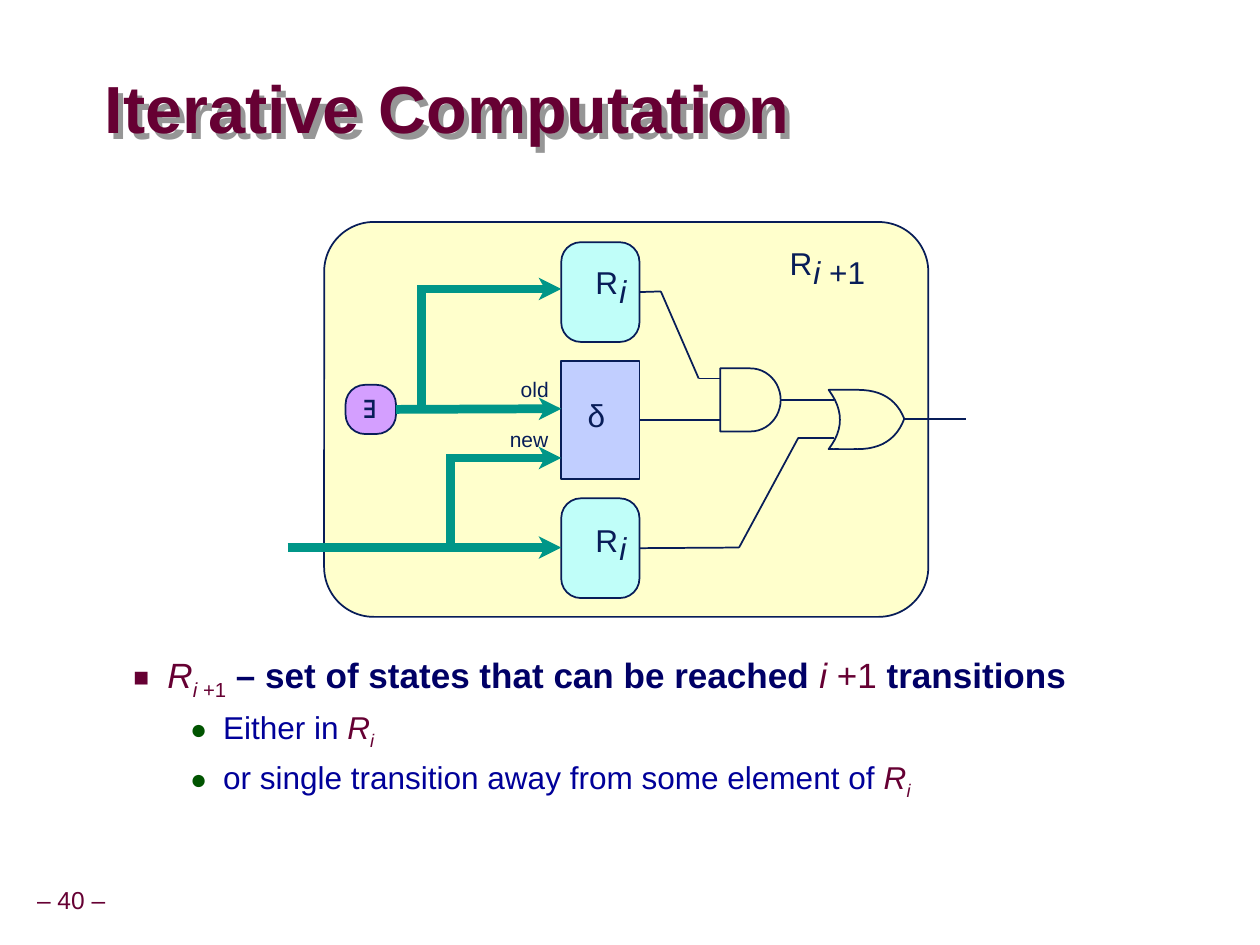
from pptx import Presentation
from pptx.dml.color import RGBColor
from pptx.enum.shapes import MSO_CONNECTOR, MSO_SHAPE
from pptx.enum.text import MSO_ANCHOR, PP_ALIGN
from pptx.oxml.ns import qn
from pptx.util import Inches, Pt
from lxml.etree import SubElement

COLORS = {"wine": "660033", "ink": "081D58", "navy": "000066", "blue": "000099",
          "green": "005400", "teal": "009688", "cream": "FFFFCC", "aqua": "C0FEF9",
          "sky": "C1CEFF", "violet": "D49FFF", "grey": "969696"}

ROUND, RECT, DELAY = (MSO_SHAPE.ROUNDED_RECTANGLE, MSO_SHAPE.RECTANGLE,
                      MSO_SHAPE.FLOWCHART_DELAY)
NODES = {
    "frame": (ROUND, 2.57, 1.76, 4.79, 3.13, "cream", 0.126),
    "upper": (ROUND, 4.45, 1.92, 0.62, 0.79, "aqua", 0.25),
    "delta": (RECT, 4.45, 2.86, 0.62, 0.94, "sky", None),
    "lower": (ROUND, 4.45, 3.95, 0.62, 0.79, "aqua", 0.25),
    "exists": (ROUND, 2.74, 3.05, 0.4, 0.39, "violet", 0.397),
    "and": (DELAY, 5.71, 2.92, 0.48, 0.5, "cream", None),
}
OR_START = (6.57, 3.09)
OR_CURVES = [
    ((6.7, 3.09), (6.8, 3.09)),
    ((7.08, 3.09), (7.17, 3.32)),
    ((7.08, 3.56), (6.8, 3.56)),
    ((6.7, 3.56), (6.57, 3.56)),
    ((6.75, 3.33), OR_START),
]
WIRES = [
    ([(5.07, 2.31), (5.24, 2.31), (5.54, 3), (5.71, 3)], "upper"),
    ([(5.07, 3.33), (5.71, 3.33)], "delta"),
    ([(5.07, 4.34), (5.86, 4.34), (6.33, 3.47), (6.61, 3.47)], "lower"),
    ([(6.19, 3.17), (6.61, 3.17)], "and"),
    ([(7.17, 3.32), (7.66, 3.32)], None),
]
BUSES = [
    ([(3.34, 3.25), (3.34, 2.26)], None),
    ([(3.31, 2.29), (4.34, 2.29)], None),
    ([(3.14, 3.24), (4.34, 3.24)], "exists"),
    ([(3.57, 4.36), (3.57, 3.6)], None),
    ([(3.54, 3.63), (4.34, 3.63)], None),
    ([(2.28, 4.34), (4.34, 4.34)], None),
]
HEAD = [(0.11, 0), (-0.07, 0.09), (-0.02, 0), (-0.07, -0.09)]
LABELS = [
    (4.66, 3.17, 0.12, 18, [("δ", "")]),
    (2.85, 3.1, 0.16, 18, [("∃", "")]),
    (4.09, 3.01, 0.3, 12, [("old", "")]),
    (4.02, 3.4, 0.35, 12, [("new", "")]),
]
STATES = [
    (4.72, 2.12, [("i", "i")]),
    (4.72, 4.16, [("i", "i")]),
    (6.26, 1.97, [("i ", "i"), ("+1", "")]),
]
POINTS = [
    (0, [("R", "wine", "i"), ("i ", "wine", "is"), ("+1", "wine", "s"),
         (" – set of states that can be reached ", "navy", "b"),
         ("i", "wine", "i"), (" +1", "wine", ""), (" transitions", "navy", "b")]),
    (1, [("Either in ", "blue", ""), ("R", "wine", "i"), ("i", "wine", "is")]),
    (1, [("or single transition away from some element of ", "blue", ""),
         ("R", "wine", "i"), ("i", "wine", "is")]),
]
LEVELS = [
    dict(size=20, left=0.81, hang=0.27, gap=0, line=1, mark="■", tint="wine", scale=75),
    dict(size=18, left=1.25, hang=0.26, gap=2.2, line=1.07, mark="●", tint="green", scale=90),
]


def rgb(name):
    return RGBColor.from_string(COLORS[name])


def add_run(para, text, size, color, style=""):
    run = para.add_run()
    run.text = text
    font = run.font
    font.name, font.size, font.color.rgb = "Arial", Pt(size), rgb(color)
    font.bold, font.italic = "b" in style, "i" in style
    if "s" in style:
        font._element.set("baseline", "-25000")


def add_box(slide, x, y, w, h, wrap=False, pad=(0, 0), anchor=MSO_ANCHOR.TOP):
    box = slide.shapes.add_textbox(*map(Inches, (x, y, w, h)))
    frame = box.text_frame
    frame.word_wrap, frame.vertical_anchor = wrap, anchor
    frame.margin_left = frame.margin_right = Inches(pad[0])
    frame.margin_top = frame.margin_bottom = Inches(pad[1])
    return box


def add_label(slide, x, y, w, size, runs):
    para = add_box(slide, x, y, w, size * 0.015).text_frame.paragraphs[0]
    para.alignment, para.line_spacing = PP_ALIGN.CENTER, 0.9
    for text, style in runs:
        add_run(para, text, size, "ink", style)


def paint(shape, fill, line="ink"):
    shape.shadow.inherit = False
    shape.fill.solid()
    shape.fill.fore_color.rgb = rgb(fill)
    if line:
        shape.line.color.rgb, shape.line.width = rgb(line), Pt(1)
    else:
        shape.line.fill.background()


def add_node(slide, kind, x, y, w, h, fill, bend):
    node = slide.shapes.add_shape(kind, *map(Inches, (x, y, w, h)))
    if bend:
        node.adjustments[0] = bend
    paint(node, fill)
    return node


def add_outline(slide, dots, fill, line):
    spots = [tuple(map(Inches, dot)) for dot in dots]
    pen = slide.shapes.build_freeform(*spots[0])
    pen.add_line_segments(spots[1:], close=True)
    paint(pen.convert_to_shape(), fill, line)


def add_or(slide):
    dots, start = [OR_START], OR_START
    for mid, end in OR_CURVES:
        for step in range(1, 13):
            t = step / 12
            dots.append(tuple((1 - t) ** 2 * a + 2 * t * (1 - t) * b + t * t * c
                              for a, b, c in zip(start, mid, end)))
        start = end
    add_outline(slide, dots, "cream", "ink")


def add_path(slide, nodes, dots, color, width, source):
    for start, end in zip(dots, dots[1:]):
        link = slide.shapes.add_connector(MSO_CONNECTOR.STRAIGHT, *map(Inches, start + end))
        link.line.color.rgb, link.line.width = rgb(color), Pt(width)
        SubElement(link._element.spPr, qn("a:effectLst"))
        if source and start == dots[0]:
            link.begin_connect(nodes[source], 3)


def add_bus(slide, nodes, dots, source):
    add_path(slide, nodes, dots, "teal", 5, source)
    (left, _), (x, y) = dots
    if x > left:
        add_outline(slide, [(x + dx, y + dy) for dx, dy in HEAD], "teal", None)


def add_title(slide):
    box = add_box(slide, 0.83, 0.59, 7.11, 0.61, True, anchor=MSO_ANCHOR.MIDDLE)
    effects = SubElement(box._element.spPr, qn("a:effectLst"))
    shade = SubElement(effects, qn("a:outerShdw"), dist=str(Inches(0.06)), dir="2700000")
    SubElement(shade, qn("a:srgbClr"), val=COLORS["grey"])
    para = box.text_frame.paragraphs[0]
    para.line_spacing = 0.87
    add_run(para, "Iterative Computation", 38, "wine", "b")


def add_points(slide):
    frame = add_box(slide, 0.42, 5.13, 8.97, 1.8, True, (0.1, 0.05)).text_frame
    for row, (level, runs) in enumerate(POINTS):
        look = LEVELS[level]
        para = frame.add_paragraph() if row else frame.paragraphs[0]
        para.level, para.line_spacing = level, look["line"]
        para.space_before = Pt(look["gap"])
        props = para._p.get_or_add_pPr()
        props.set("marL", str(Inches(look["left"])))
        props.set("indent", str(-Inches(look["hang"])))
        tint = SubElement(props, qn("a:buClr"))
        SubElement(tint, qn("a:srgbClr"), val=COLORS[look["tint"]])
        SubElement(props, qn("a:buSzPct"), val=str(look["scale"] * 1000))
        SubElement(props, qn("a:buFont"), typeface="Arial")
        SubElement(props, qn("a:buChar"), char=look["mark"])
        for text, color, style in runs:
            add_run(para, text, look["size"], color, style)


def main():
    """Build the slide on iterative computation."""
    deck = Presentation()
    deck.slide_width, deck.slide_height = Inches(9.99), Inches(7.49)
    slide = deck.slides.add_slide(deck.slide_layouts[6])
    add_title(slide)
    add_points(slide)
    nodes = {name: add_node(slide, *node) for name, node in NODES.items()}
    add_or(slide)
    for dots, source in WIRES:
        add_path(slide, nodes, dots, "ink", 1, source)
    for dots, source in BUSES:
        add_bus(slide, nodes, dots, source)
    for label in LABELS:
        add_label(slide, *label)
    for x, y, index in STATES:
        add_label(slide, x, y, 0.18, 18, [("R", "")])
        add_label(slide, x + 0.19, y + 0.07, 0.06 if len(index) == 1 else 0.41, 18, index)
    page = add_box(slide, 0.2, 6.99, 0.73, 0.31, anchor=MSO_ANCHOR.MIDDLE)
    para = page.text_frame.paragraphs[0]
    para.alignment, para.line_spacing = PP_ALIGN.CENTER, 0.9
    add_run(para, "– 40 –", 14, "wine")
    deck.save("out.pptx")


if __name__ == "__main__":
    main()
